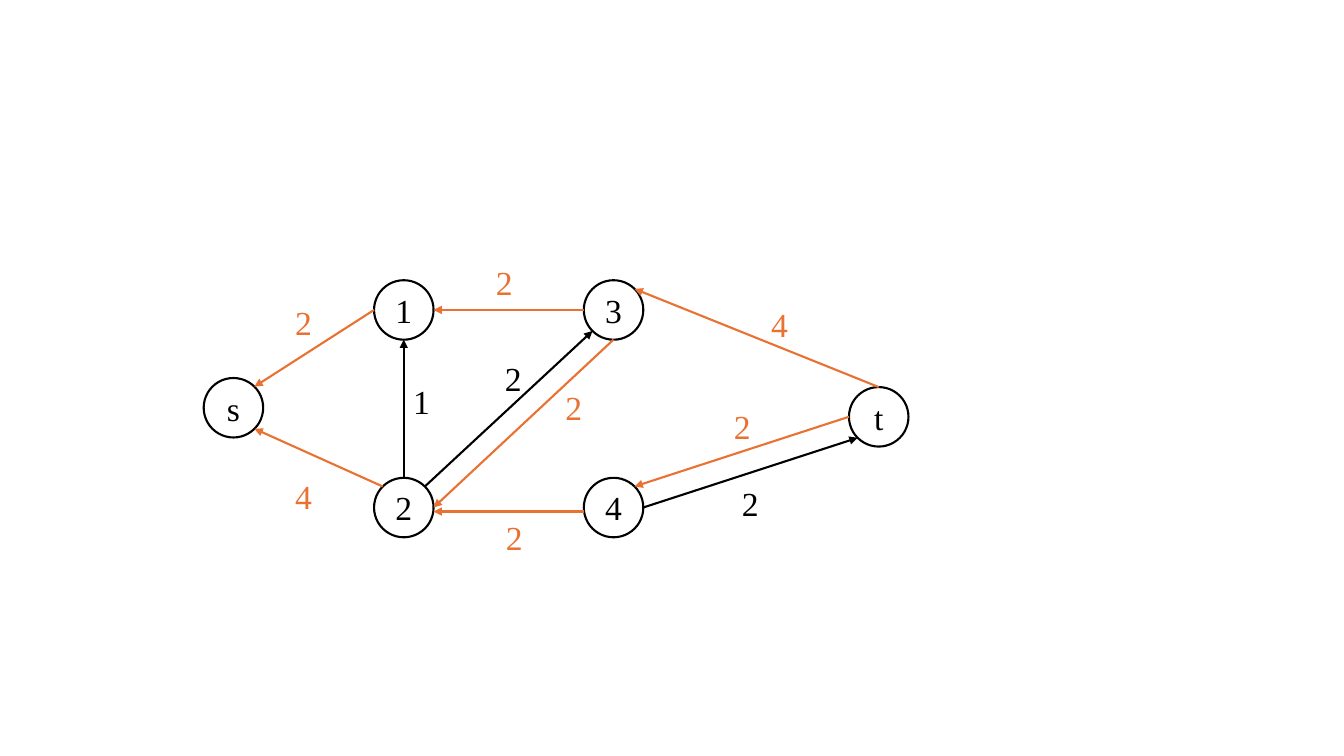
from math import cos, radians, sin

from lxml import etree
from pptx import Presentation
from pptx.dml.color import RGBColor
from pptx.enum.shapes import MSO_CONNECTOR, MSO_SHAPE
from pptx.enum.text import MSO_ANCHOR, MSO_AUTO_SIZE, PP_ALIGN
from pptx.oxml.ns import qn
from pptx.util import Inches, Pt

OVAL = MSO_SHAPE.OVAL
STRAIGHT = MSO_CONNECTOR.STRAIGHT
MIDDLE = MSO_ANCHOR.MIDDLE
CENTER = PP_ALIGN.CENTER
GROW = MSO_AUTO_SIZE.SHAPE_TO_FIT_TEXT

COLORS = {"forward": "000000", "residual": "E97132"}
FONT = "Times New Roman"
FONT_SIZE = 24
LINE_WIDTH = 1.5
DIAMETER = 0.59
LABEL_W, LABEL_H = 0.37, 0.5
BOX = (2.02, 2.55)

COL_1, COL_2 = 1.69, 3.77
ROW_1, ROW_2 = 0.23, 2.19
NODES = {
    "s": (0, 1.2),
    "t": (6.4, 1.29),
    "1": (COL_1, ROW_1),
    "2": (COL_1, ROW_2),
    "3": (COL_2, ROW_1),
    "4": (COL_2, ROW_2),
}

ANGLES = {name: 45 * i for i, name in
          enumerate(("E", "SE", "S", "SW", "W", "NW", "N", "NE"))}

# tail node, side, head node, side, shift down, kind, label, label place
EDGES = [
    ("2", "N", "1", "S", 0, "forward", "1", (1.98, 1.18)),
    ("2", "NE", "3", "SW", 0, "forward", "2", (2.89, 0.95)),
    ("4", "E", "t", "SW", 0, "forward", "2", (5.24, 2.19)),
    ("3", "W", "1", "E", 0, "residual", "2", (2.8, 0)),
    ("1", "W", "s", "NE", 0, "residual", "2", (0.81, 0.4)),
    ("t", "N", "3", "NE", 0, "residual", "4", (5.53, 0.42)),
    ("2", "NW", "s", "SE", 0, "residual", "4", (0.81, 2.12)),
    ("3", "S", "2", "E", 0, "residual", "2", (3.49, 1.24)),
    ("4", "W", "2", "E", 0.04, "residual", "2", (2.9, 2.53)),
    ("t", "W", "4", "NE", 0, "residual", "2", (5.16, 1.43)),
]


def add_run(p, text, color):
    r = p.add_run()
    r.text = text
    r.font.name = FONT
    r.font.size = Pt(FONT_SIZE)
    r.font.color.rgb = RGBColor.from_string(color)


def set_line(line, color):
    line.color.rgb = RGBColor.from_string(color)
    line.width = Pt(LINE_WIDTH)


def add_node(s, name, left, top):
    sp = s.shapes.add_shape(OVAL, Inches(left), Inches(top),
                            Inches(DIAMETER), Inches(DIAMETER))
    sp.shadow.inherit = False
    sp.fill.background()
    set_line(sp.line, COLORS["forward"])
    tf = sp.text_frame
    tf.vertical_anchor = MIDDLE
    p = tf.paragraphs[0]
    p.alignment = CENTER
    add_run(p, name, COLORS["forward"])


def rim_point(box, node, side):
    radius = DIAMETER / 2
    angle = radians(ANGLES[side])
    x, y = NODES[node]
    return (box[0] + x + radius + radius * cos(angle),
            box[1] + y + radius + radius * sin(angle))


def add_arrow(s, start, end, color):
    points = [Inches(v) for v in (*start, *end)]
    arrow = s.shapes.add_connector(STRAIGHT, *points)
    set_line(arrow.line, color)
    ln = arrow.line._get_or_add_ln()
    etree.SubElement(ln, qn("a:tailEnd"), type="triangle")
    etree.SubElement(arrow._element.spPr, qn("a:effectLst"))


def add_label(s, text, left, top, color):
    tb = s.shapes.add_textbox(Inches(left), Inches(top),
                              Inches(LABEL_W), Inches(LABEL_H))
    tf = tb.text_frame
    tf.word_wrap = False
    tf.auto_size = GROW
    add_run(tf.paragraphs[0], text, color)


def add_flow_graph(s, box):
    for name, (x, y) in NODES.items():
        add_node(s, name, box[0] + x, box[1] + y)
    for tail, out, head, into, shift, kind, weight, (x, y) in EDGES:
        shifted = (box[0], box[1] + shift)
        add_arrow(s, rim_point(shifted, tail, out),
                  rim_point(shifted, head, into), COLORS[kind])
        add_label(s, weight, box[0] + x, box[1] + y, COLORS[kind])


def main():
    prs = Presentation()
    prs.slide_width = Inches(13.33)
    prs.slide_height = Inches(7.5)
    s = prs.slides.add_slide(prs.slide_layouts[6])
    add_flow_graph(s, BOX)
    prs.save("out.pptx")


if __name__ == "__main__":
    main()
